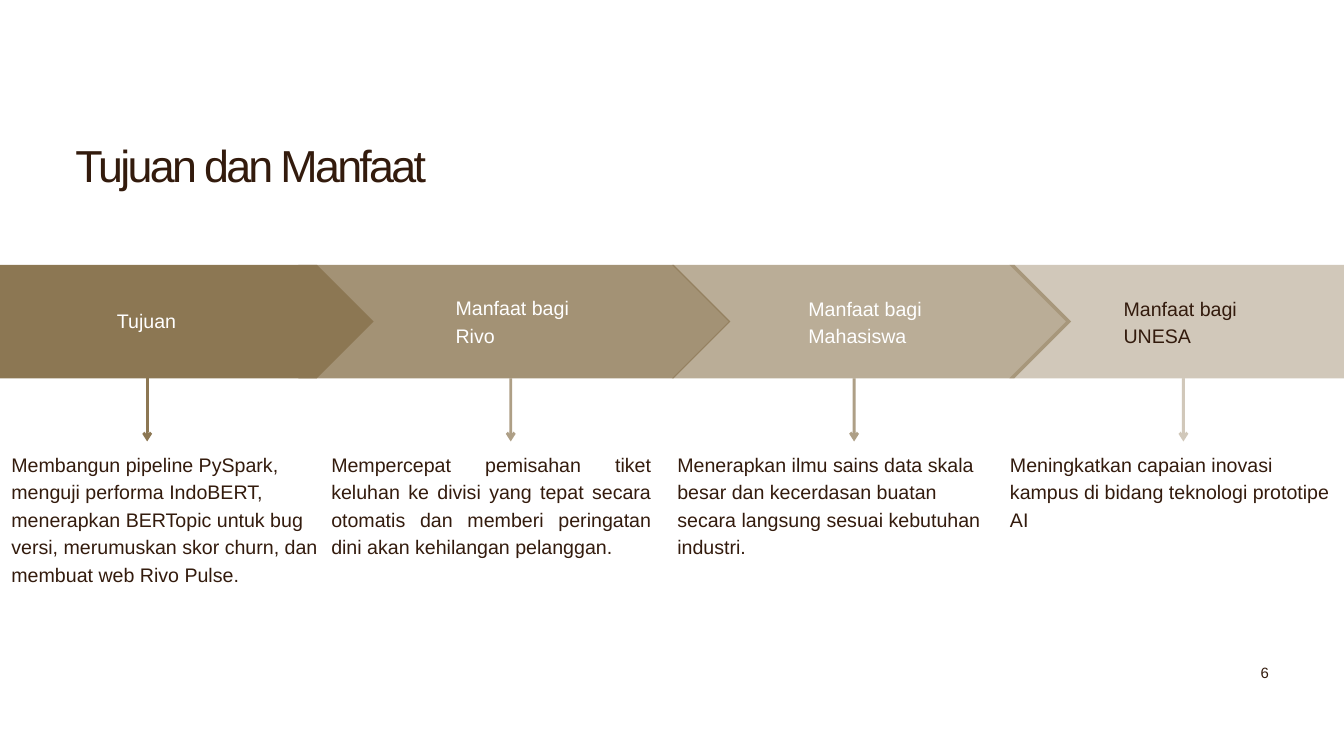
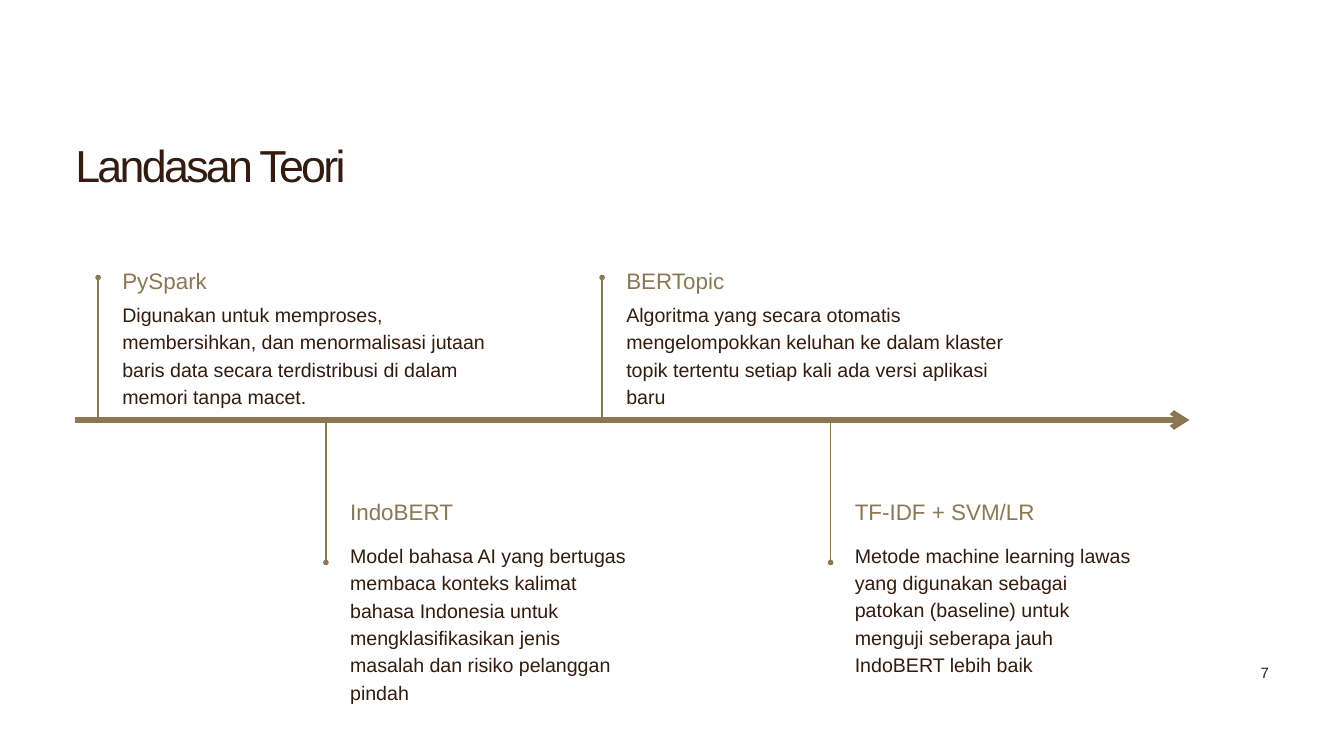
"""Builds two slides: aims and benefits as a chevron band, and theory as a timeline."""
from lxml import etree
from pptx import Presentation
from pptx.dml.color import RGBColor
from pptx.enum.shapes import MSO_CONNECTOR
from pptx.enum.text import MSO_AUTO_SIZE, PP_ALIGN
from pptx.oxml.ns import qn
from pptx.util import Inches, Pt

COLUMNS, ROWS = 20, 11.25
CELL = Inches(1)
FONT = "Arial"
DARK, BRONZE, WHITE = "331B0D", "8C7753", "FFFFFF"
LEFT, RIGHT, JUSTIFY = PP_ALIGN.LEFT, PP_ALIGN.RIGHT, PP_ALIGN.JUSTIFY
FIT_TEXT = MSO_AUTO_SIZE.SHAPE_TO_FIT_TEXT
STRAIGHT = MSO_CONNECTOR.STRAIGHT
MARGIN = 1.12
BODY_SIZE, HEADING_SIZE = 21, 24


def color(hex_code):
    """Turn a hex string into a colour."""
    return RGBColor.from_string(hex_code)


def grid(length):
    """Turn a number of columns or rows into a length."""
    return round(length * CELL)


def set_opacity(shape, percent):
    """Make the solid colours of a shape partly transparent."""
    if percent < 100:
        for solid in shape.element.iter(qn("a:srgbClr")):
            etree.SubElement(solid, qn("a:alpha"), val=str(percent * 1000))


class Deck:
    """Holds the shared style and the slide being built."""

    def __init__(self):
        """Open an empty deck of the right size."""
        self.presentation = Presentation()
        self.presentation.slide_width = grid(COLUMNS)
        self.presentation.slide_height = grid(ROWS)
        self.slide = None

    def start(self, title, number):
        """Add a slide with its title and page number."""
        blank = self.presentation.slide_layouts[6]
        self.slide = self.presentation.slides.add_slide(blank)
        self.text(title, MARGIN, 2.18, 8.88, size=48, leading=1, tracking=-2.9)
        self.text(str(number), 13.89, 9.83, 4.99, size=16, align=RIGHT)

    def text(self, words, left, top, width, lines=1, size=BODY_SIZE, ink=DARK,
             align=LEFT, leading=1.4, tracking=0):
        """Add a wrapped text box without insets."""
        line_height = Pt(size * leading)
        box = self.slide.shapes.add_textbox(
            grid(left), grid(top), grid(width), line_height * lines)
        frame = box.text_frame
        frame.word_wrap = True
        frame.auto_size = FIT_TEXT
        frame.margin_left = frame.margin_right = 0
        frame.margin_top = frame.margin_bottom = 0
        frame.text = words
        paragraph = frame.paragraphs[0]
        paragraph.alignment = align
        paragraph.line_spacing = line_height
        run = paragraph.runs[0]
        run.font.name = FONT
        run.font.size = Pt(size)
        run.font.color.rgb = color(ink)
        if tracking:
            run.font._element.set("spc", str(round(tracking * 100)))

    def chevron(self, left, right, top, height, notch, tip, opacity):
        """Add a band segment with an optional notch and tip."""
        middle, bottom = top + height / 2, top + height
        outline = [(left, top), (right - tip, top), (right, middle),
                   (right - tip, bottom), (left, bottom), (left + notch, middle)]
        points = [(grid(x), grid(y)) for x, y in outline]
        builder = self.slide.shapes.build_freeform(*points[0])
        builder.add_line_segments(points[1:], close=True)
        segment = builder.convert_to_shape()
        segment.shadow.inherit = False
        segment.fill.solid()
        segment.fill.fore_color.rgb = color(BRONZE)
        segment.line.fill.background()
        set_opacity(segment, opacity)

    def line(self, start, end, weight, ending, opacity=100):
        """Add a straight line with a marker at its end."""
        connector = self.slide.shapes.add_connector(
            STRAIGHT, *map(grid, (*start, *end)))
        connector.line.width = Pt(weight)
        connector.line.color.rgb = color(BRONZE)
        set_opacity(connector, opacity)
        properties = connector.element.spPr
        etree.SubElement(properties.find(qn("a:ln")), qn("a:tailEnd"), type=ending)
        etree.SubElement(properties, qn("a:effectLst"))


def build_benefits(deck):
    """Build the slide on aims and benefits."""
    deck.start("Tujuan dan Manfaat", 6)
    band_top, band_height = 3.94, 1.69
    point = band_height / 2
    segments = [(0, 5.56, 0, point, 100), (4.44, 10.87, point, point, 80),
                (10, 15.94, point, point, 60), (15.02, COLUMNS, point, 0, 40)]
    for left, right, notch, tip, opacity in segments:
        deck.chevron(left, right, band_top, band_height, notch, tip, opacity)

    headings = [("Tujuan", 1.74, 4.54, 3.07, 1, WHITE),
                ("Manfaat bagi Rivo", 6.78, 4.35, 2, 2, WHITE),
                ("Manfaat bagi Mahasiswa", 12.03, 4.36, 2, 2, WHITE),
                ("Manfaat bagi UNESA", 16.72, 4.36, 2.57, 2, DARK)]
    for heading, left, top, width, lines, ink in headings:
        deck.text(heading, left, top, width, lines, ink=ink)

    band_bottom = band_top + band_height
    for x, opacity in [(2.19, 100), (7.6, 70), (12.71, 70), (17.61, 40)]:
        deck.line((x, band_bottom), (x, 6.57), 3, "arrow", opacity)

    details = [
        (0.17, 5, LEFT, "Membangun pipeline PySpark, menguji performa IndoBERT, "
         "menerapkan BERTopic untuk bug versi, merumuskan skor churn, dan membuat "
         "web Rivo Pulse."),
        (4.93, 5, JUSTIFY, "Mempercepat pemisahan tiket keluhan ke divisi yang tepat "
         "secara otomatis dan memberi peringatan dini akan kehilangan pelanggan."),
        (10.08, 4, LEFT, "Menerapkan ilmu sains data skala besar dan kecerdasan buatan "
         "secara langsung sesuai kebutuhan industri."),
        (15.03, 3, LEFT, "Meningkatkan capaian inovasi kampus di bidang teknologi "
         "prototipe AI"),
    ]
    for left, lines, align, detail in details:
        deck.text(detail, left, 6.68, 4.76, lines, align=align)


def build_theory(deck):
    """Build the slide on the theoretical basis."""
    deck.start("Landasan Teori", 7)
    axis, stem, gap = 6.25, 2.12, 0.36
    deck.line((MARGIN, axis), (17.7, axis), 6, "arrow")

    above, below = (-1, 3.91, 4.45), (1, 7.34, 8.03)
    theories = [
        (1.46, above, 5.61, 4, "PySpark",
         "Digunakan untuk memproses, membersihkan, dan menormalisasi jutaan baris "
         "data secara terdistribusi di dalam memori tanpa macet."),
        (4.85, below, 4.12, 6, "IndoBERT",
         "Model bahasa AI yang bertugas membaca konteks kalimat bahasa Indonesia "
         "untuk mengklasifikasikan jenis masalah dan risiko pelanggan pindah"),
        (8.96, above, 5.67, 4, "BERTopic",
         "Algoritma yang secara otomatis mengelompokkan keluhan ke dalam klaster "
         "topik tertentu setiap kali ada versi aplikasi baru"),
        (12.36, below, 4.12, 5, "TF-IDF + SVM/LR",
         "Metode machine learning lawas yang digunakan sebagai patokan (baseline) "
         "untuk menguji seberapa jauh IndoBERT lebih baik"),
    ]
    for x, (side, heading_top, detail_top), width, lines, theory, detail in theories:
        deck.line((x, axis), (x, axis + side * stem), 1.5, "oval")
        deck.text(theory, x + gap, heading_top, 4.12, size=HEADING_SIZE, ink=BRONZE)
        deck.text(detail, x + gap, detail_top, width, lines)


def main():
    """Build both slides and save the deck."""
    deck = Deck()
    build_benefits(deck)
    build_theory(deck)
    deck.presentation.save("out.pptx")


if __name__ == "__main__":
    main()
